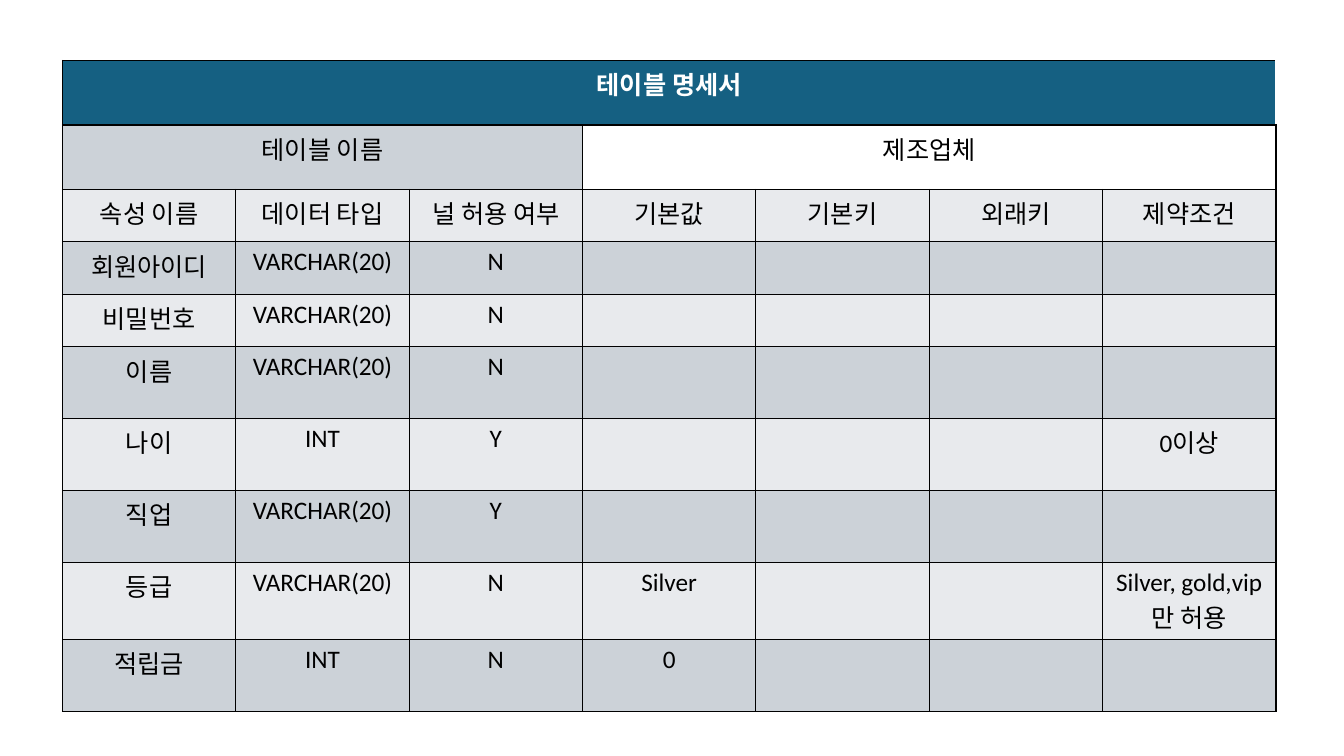
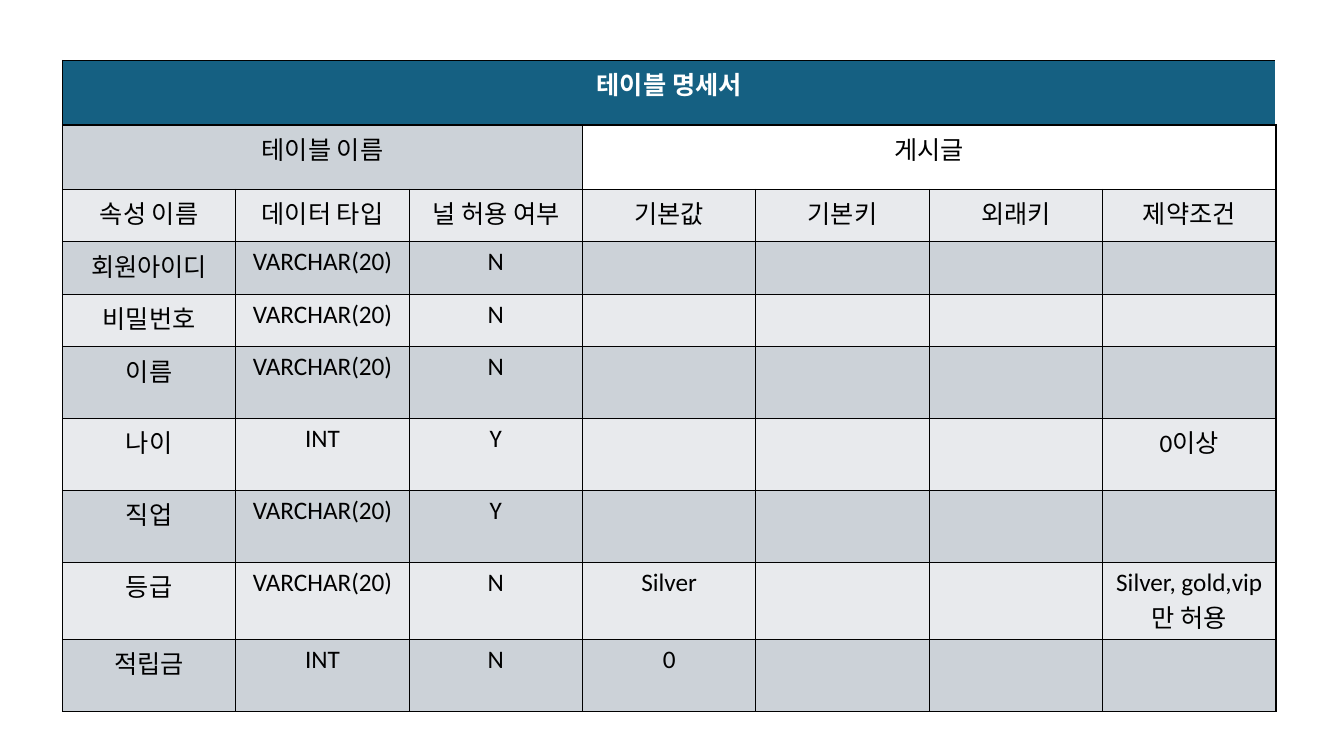
import pptx
import pptx.dml.color
import pptx.enum.text
import pptx.oxml
import pptx.oxml.ns
import pptx.util

# Shared style
NAVY, WHITE, BLACK = "156082", "FFFFFF", "000000"
BANDS = ("E8EAED", "CCD2D8")
FONT, TEXT_SIZE, BORDER_WIDTH = "Calibri", 18, 1

# Shared layout, as percentages of the slide's width or height
TABLE_LEFT, TABLE_TOP = 4.65, 8
COLUMN_WIDTH = 12.9
TITLE_ROW, SHORT_ROW, TALL_ROW, TWO_LINE_ROW = 8.53, 6.95, 9.5, 10.2
ROW_HEIGHTS = [TITLE_ROW] * 2 + [SHORT_ROW] * 3 + [TALL_ROW] * 3 + [TWO_LINE_ROW, TALL_ROW]

# Table content
TITLE = "테이블 명세서"
NAME_LABEL = "테이블 이름"
NAME_SPLIT = 3
HEADINGS = ["속성 이름", "데이터 타입", "널 허용 여부", "기본값", "기본키", "외래키", "제약조건"]
ATTRIBUTES = [
    ["회원아이디", "VARCHAR(20)", "N", "", "", "", ""],
    ["비밀번호", "VARCHAR(20)", "N", "", "", "", ""],
    ["이름", "VARCHAR(20)", "N", "", "", "", ""],
    ["나이", "INT", "Y", "", "", "", "0이상"],
    ["직업", "VARCHAR(20)", "Y", "", "", "", ""],
    ["등급", "VARCHAR(20)", "N", "Silver", "", "", "Silver, gold,vip만 허용"],
    ["적립금", "INT", "N", "0", "", "", ""],
]
TABLE_NAMES = ["제조업체", "게시글"]


def color(value):
    return pptx.dml.color.RGBColor.from_string(value)


class Deck:
    def __init__(self):
        self.presentation = pptx.Presentation()
        self.presentation.slide_width = pptx.util.Inches(13.33)
        self.presentation.slide_height = pptx.util.Inches(7.5)
        self.slide = None

    def across(self, percent):
        return round(self.presentation.slide_width * percent / 100)

    def down(self, percent):
        return round(self.presentation.slide_height * percent / 100)

    def add_slide(self):
        self.slide = self.presentation.slides.add_slide(self.presentation.slide_layouts[6])

    def borders(self, cell, right=BLACK):
        properties = cell._tc.get_or_add_tcPr()
        sides = {"lnL": BLACK, "lnR": right, "lnT": BLACK, "lnB": BLACK}
        for position, (side, value) in enumerate(sides.items()):
            properties.insert(position, pptx.oxml.parse_xml(
                f'<a:{side} {pptx.oxml.ns.nsdecls("a")} w="{pptx.util.Pt(BORDER_WIDTH)}">'
                f'<a:solidFill><a:srgbClr val="{value}"/></a:solidFill></a:{side}>'))

    def text(self, cell, wording, value=BLACK, bold=False):
        paragraph = cell.text_frame.paragraphs[0]
        paragraph.alignment = pptx.enum.text.PP_ALIGN.CENTER
        paragraph.font.size = pptx.util.Pt(TEXT_SIZE)
        if wording:
            run = paragraph.add_run()
            run.text = wording
            run.font.name = FONT
            run.font.size = pptx.util.Pt(TEXT_SIZE)
            run.font.bold = bold
            run.font.color.rgb = color(value)

    def fill(self, cell, value):
        if value is None:
            cell.fill.background()
        else:
            cell.fill.solid()
            cell.fill.fore_color.rgb = color(value)

    def specification(self, table_name):
        columns = len(HEADINGS)
        frame = self.slide.shapes.add_table(
            len(ROW_HEIGHTS), columns, self.across(TABLE_LEFT), self.down(TABLE_TOP),
            self.across(COLUMN_WIDTH * columns), self.down(sum(ROW_HEIGHTS)))
        table = frame.table
        table.first_row = table.horz_banding = False
        for column in table.columns:
            column.width = self.across(COLUMN_WIDTH)
        for row, height in zip(table.rows, ROW_HEIGHTS):
            row.height = self.down(height)

        # Fills and borders
        for index, row in enumerate(table.rows):
            for column, cell in enumerate(row.cells):
                value = BANDS[index % 2]
                if index == 0:
                    value = NAVY
                elif index == 1 and column >= NAME_SPLIT:
                    value = None
                self.fill(cell, value)
                self.borders(cell, WHITE if index == 0 else BLACK)

        # Title and name rows
        table.cell(0, 0).merge(table.cell(0, columns - 1))
        table.cell(1, 0).merge(table.cell(1, NAME_SPLIT - 1))
        table.cell(1, NAME_SPLIT).merge(table.cell(1, columns - 1))
        self.text(table.cell(0, 0), TITLE, WHITE, bold=True)
        self.text(table.cell(1, 0), NAME_LABEL)
        self.text(table.cell(1, NAME_SPLIT), table_name)

        # Headings and attributes
        for index, wordings in enumerate([HEADINGS] + ATTRIBUTES, start=2):
            for column, wording in enumerate(wordings):
                self.text(table.cell(index, column), wording)


def main():
    deck = Deck()
    for table_name in TABLE_NAMES:
        deck.add_slide()
        deck.specification(table_name)
    deck.presentation.save("out.pptx")


if __name__ == "__main__":
    main()
